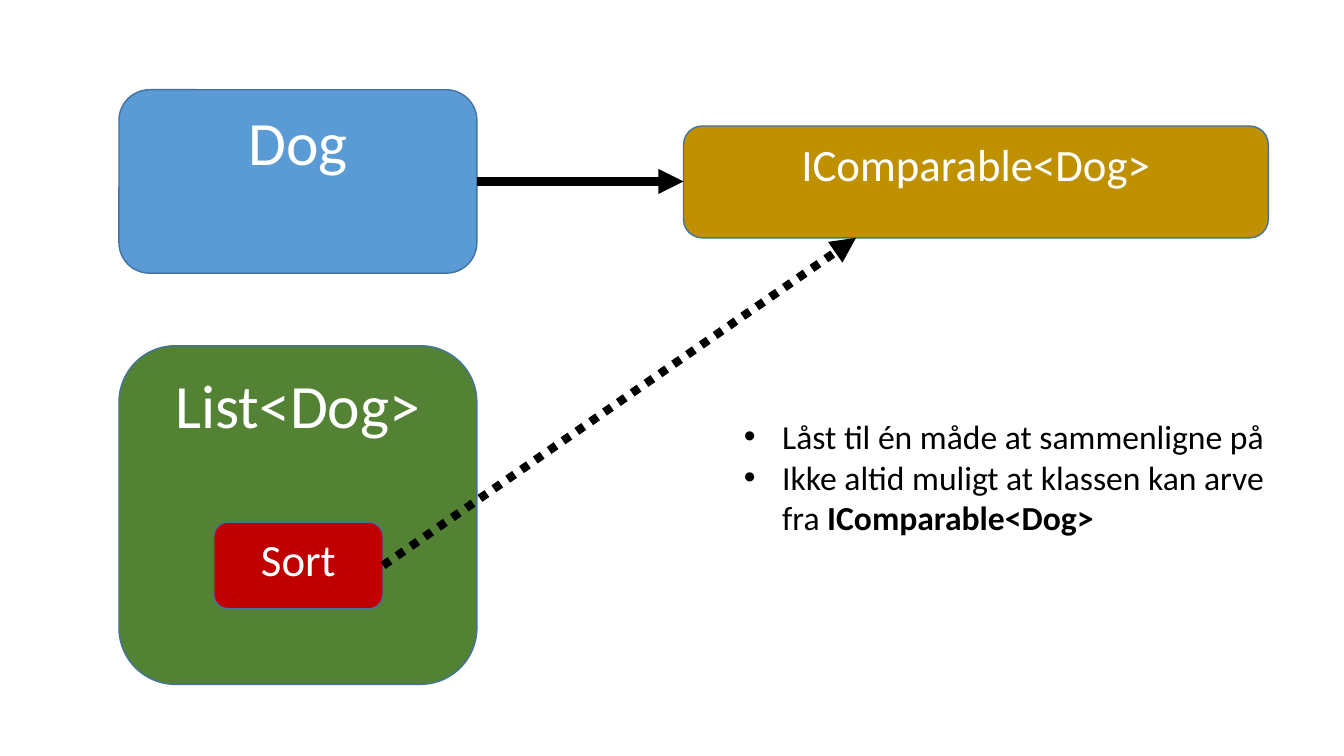
from pptx import Presentation
from pptx.dml.color import RGBColor
from pptx.enum.dml import MSO_LINE
from pptx.enum.shapes import MSO_CONNECTOR, MSO_SHAPE
from pptx.enum.text import MSO_ANCHOR, MSO_AUTO_SIZE, PP_ALIGN
from pptx.oxml.ns import qn
from pptx.util import Pt
from lxml import etree

PX = 9144  # 100 px to the inch
FONT = "Calibri"
ROUNDED = MSO_SHAPE.ROUNDED_RECTANGLE
STRAIGHT = MSO_CONNECTOR.STRAIGHT
DOTTED = MSO_LINE.ROUND_DOT
TOP = MSO_ANCHOR.TOP
CENTER, LEFT = PP_ALIGN.CENTER, PP_ALIGN.LEFT
GROW = MSO_AUTO_SIZE.SHAPE_TO_FIT_TEXT
WHITE, BLACK, OUTLINE = "FFFFFF", "000000", "43739E"
BLUE, GREEN, RED, GOLD = "5B9BD5", "548235", "C00000", "BF9000"
BULLET_INDENT = 38


def color(value):
    return RGBColor.from_string(value)


def px(*lengths):
    return [length * PX for length in lengths]


def style_font(font, size, value):
    font.name = FONT
    font.size = Pt(size)
    font.color.rgb = color(value)


def add_class_box(slide, box, label, size, fill):
    shape = slide.shapes.add_shape(ROUNDED, *px(*box))
    shape.shadow.inherit = False
    shape.fill.solid()
    shape.fill.fore_color.rgb = color(fill)
    shape.line.color.rgb = color(OUTLINE)
    shape.line.width = Pt(1)
    text_frame = shape.text_frame
    text_frame.text = label
    text_frame.vertical_anchor = TOP
    paragraph = text_frame.paragraphs[0]
    paragraph.alignment = CENTER
    style_font(paragraph.runs[0].font, size, WHITE)
    return shape


def add_arrow(slide, start, end, dash=None):
    arrow = slide.shapes.add_connector(STRAIGHT, *px(*start, *end))
    arrow.line.color.rgb = color(BLACK)
    arrow.line.width = Pt(6)
    if dash is not None:
        arrow.line.dash_style = dash
    line = arrow.line._get_or_add_ln()
    etree.SubElement(line, qn("a:tailEnd"), type="triangle")
    etree.SubElement(arrow._element.spPr, qn("a:effectLst"))


def add_bullets(slide, box, items):
    """Each item is a pair of plain text and the bold text that ends it."""
    text_frame = slide.shapes.add_textbox(*px(*box)).text_frame
    text_frame.word_wrap = True
    text_frame.auto_size = GROW
    text_frame.text = "\n".join(plain for plain, _ in items)
    for paragraph, (_, bold) in zip(text_frame.paragraphs, items):
        paragraph.alignment = LEFT
        properties = paragraph._p.get_or_add_pPr()
        properties.set("marL", str(BULLET_INDENT * PX))
        properties.set("indent", str(-BULLET_INDENT * PX))
        etree.SubElement(properties, qn("a:buFont"), typeface="Arial")
        etree.SubElement(properties, qn("a:buChar"), char="•")
        if bold:
            run = paragraph.add_run()
            run.text = bold
            run.font.bold = True
        for run in paragraph.runs:
            style_font(run.font, 24, BLACK)


def build_comparison_slide(slide, left, top):
    add_class_box(slide, (left, top + 254, 355, 336), "List<Dog>", 44, GREEN)
    add_class_box(slide, (left, top, 355, 182), "Dog", 44, BLUE)
    add_class_box(slide, (left + 94, top + 429, 168, 86), "Sort", 32, RED)
    add_class_box(slide, (left + 560, top + 36, 580, 111),
                  "IComparable<Dog>", 32, GOLD)
    add_arrow(slide, (left + 355, top + 91), (left + 560, top + 91))
    add_arrow(slide, (left + 262, top + 472), (left + 731, top + 147), DOTTED)
    add_bullets(slide, (left + 610, top + 319, 548, 131), [
        ("Låst til én måde at sammenligne på", ""),
        ("Ikke altid muligt at klassen kan arve fra ", "IComparable<Dog>"),
    ])


def main():
    presentation = Presentation()
    presentation.slide_width, presentation.slide_height = px(1333, 750)
    slide = presentation.slides.add_slide(presentation.slide_layouts[6])
    build_comparison_slide(slide, 118, 89)
    presentation.save("out.pptx")


if __name__ == "__main__":
    main()
